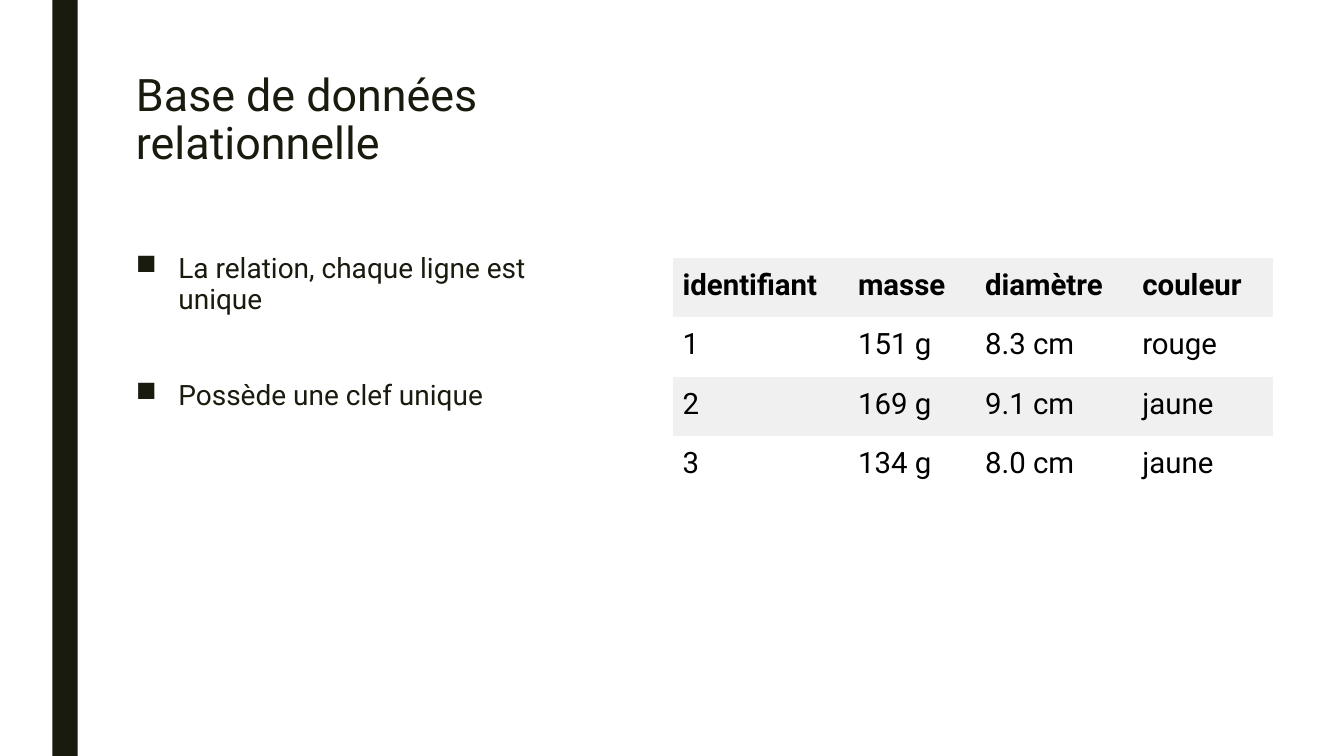
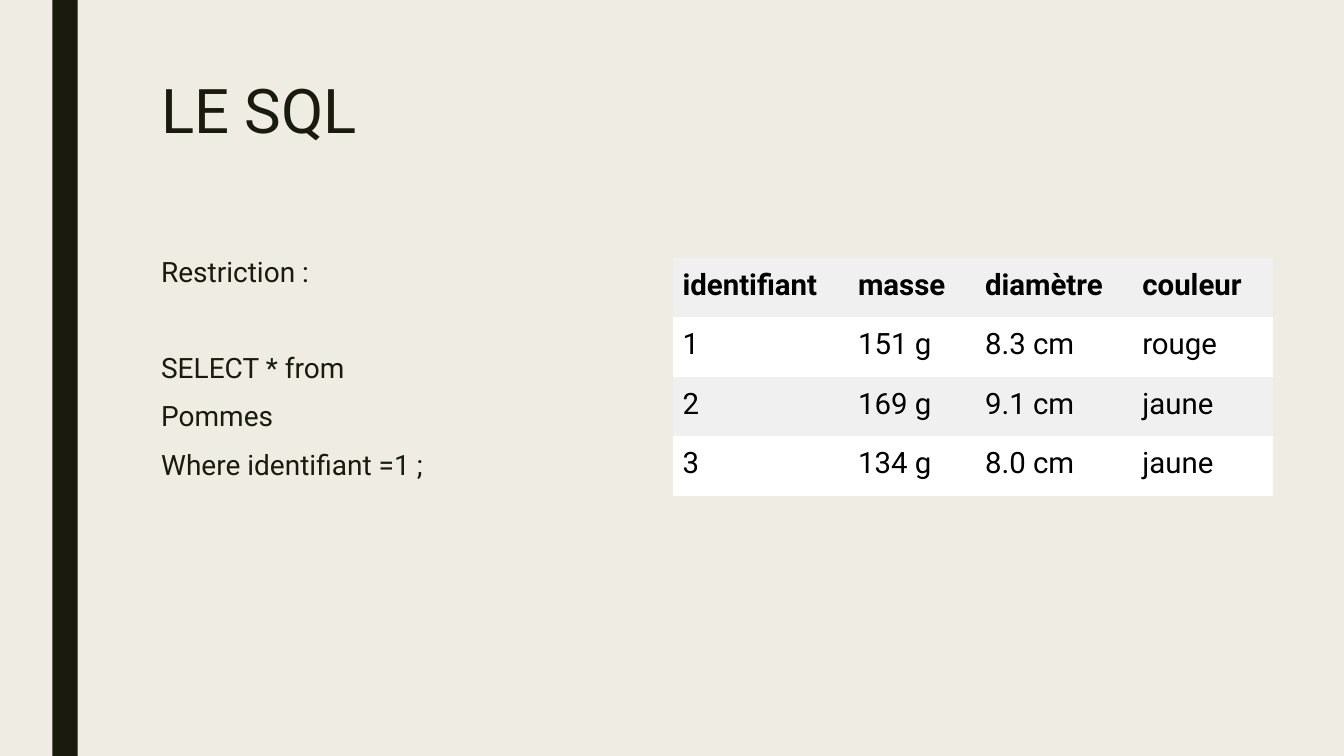
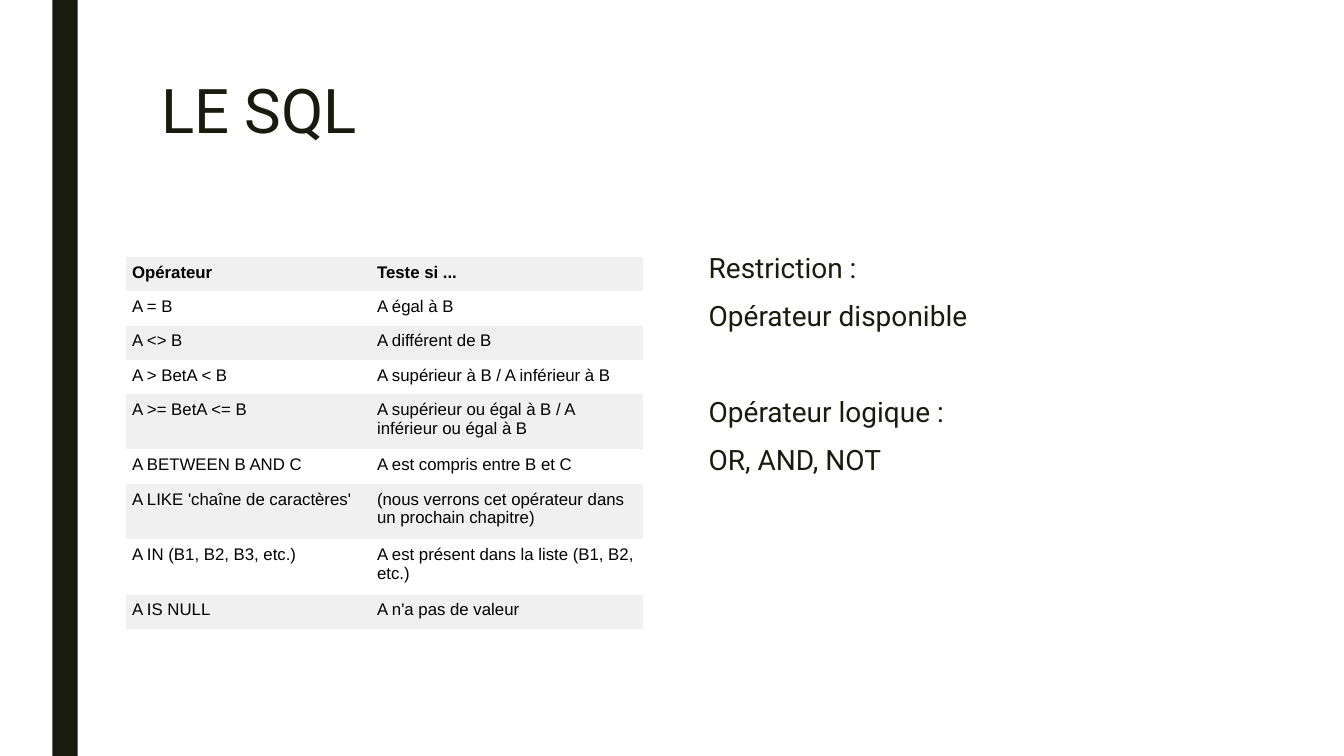
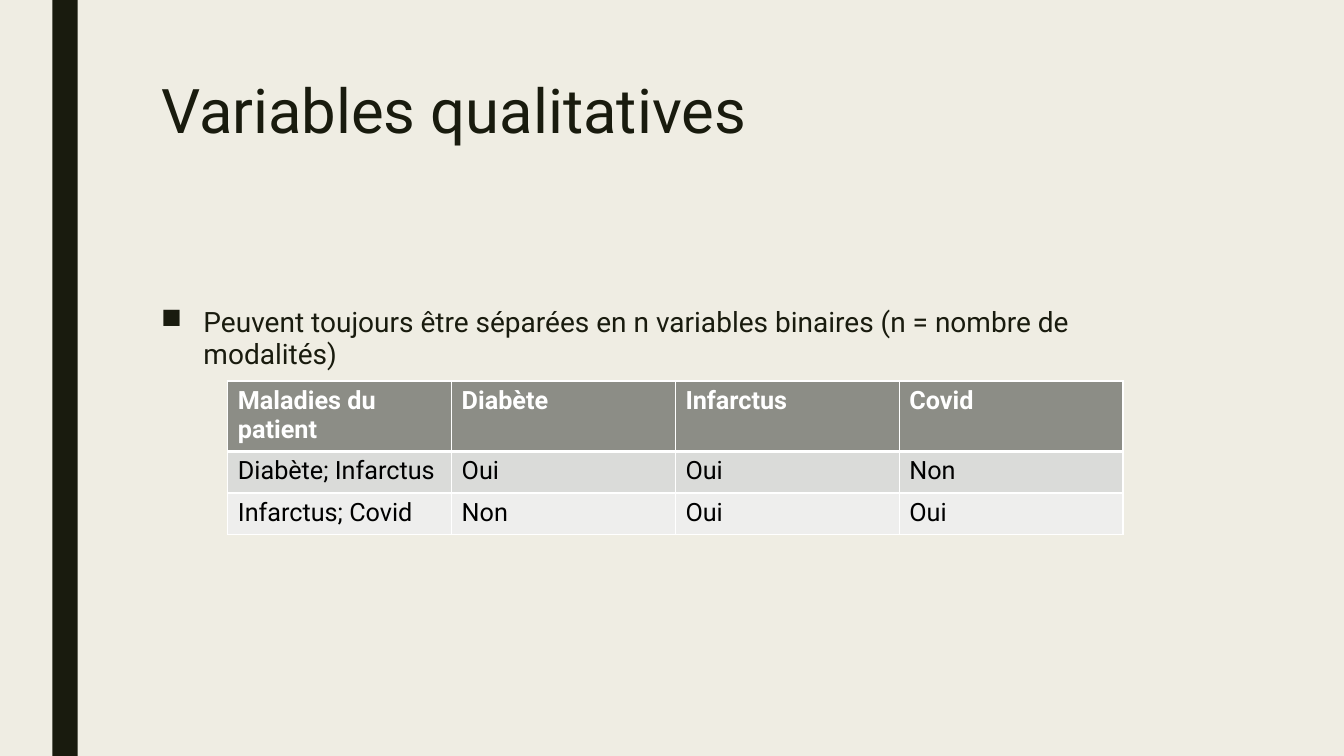
from dataclasses import dataclass
from typing import Optional

from lxml import etree
from pptx import Presentation
from pptx.dml.color import RGBColor
from pptx.enum import shapes, text
from pptx.oxml.ns import qn
from pptx.util import Inches, Pt


@dataclass(frozen=True)
class Theme:
    ink: str = "191B0E"
    black: str = "000000"
    white: str = "FFFFFF"
    cream: str = "EFEDE3"
    stripe: str = "F0F0F0"
    header: str = "8C8D86"
    row_dark: str = "DADBD9"
    row_light: str = "EEEEED"
    font: str = "Roboto"
    operator_font: str = "Arial"
    title: int = 44
    title_small: int = 32
    body: int = 20
    apples: int = 21
    operators: int = 12
    patients: int = 18
    title_spacing: float = 0.89
    body_spacing: float = 0.94
    before: int = 10
    after: int = 2
    section_gap: int = 44
    indent: float = 0.42
    no_style: str = "{2D5ABB26-0587-4C30-8999-92F81FD0307C}"


THEME = Theme()


@dataclass(frozen=True)
class Box:
    left: float
    top: float
    width: float
    height: float

    def emu(self) -> tuple:
        return tuple(Inches(v) for v in (self.left, self.top, self.width, self.height))


@dataclass(frozen=True)
class Para:
    words: str
    bullet: bool = False
    new_section: bool = False


@dataclass(frozen=True)
class TableLook:
    size: int
    fills: tuple
    header_fill: str = THEME.stripe
    header_color: str = THEME.black
    font: str = THEME.font
    inset_x: float = 0.1
    inset_y: float = 0.1
    grid: Optional[str] = None


TITLE_BOX = Box(1.5, 0.75, 10.5, 1.62)
APPLES_BOX = Box(6.67, 2.56, 5.97, 2.36)
APPLES_LOOK = TableLook(THEME.apples, (THEME.white, THEME.stripe))
OPERATORS_LOOK = TableLook(THEME.operators, (None, THEME.stripe),
                           font=THEME.operator_font, inset_x=0.06, inset_y=0.06)
PATIENTS_LOOK = TableLook(THEME.patients, (THEME.row_dark, THEME.row_light),
                          header_fill=THEME.header, header_color=THEME.white,
                          inset_y=0.05, grid=THEME.white)

APPLES = [
    ("identifiant", "masse", "diamètre", "couleur"),
    ("1", "151 g", "8.3 cm", "rouge"),
    ("2", "169 g", "9.1 cm", "jaune"),
    ("3", "134 g", "8.0 cm", "jaune"),
]
OPERATORS = [
    ("Opérateur", "Teste si ..."),
    ("A = B", "A égal à B"),
    ("A <> B", "A différent de B"),
    ("A > BetA < B", "A supérieur à B / A inférieur à B"),
    ("A >= BetA <= B", "A supérieur ou égal à B / A inférieur ou égal à B"),
    ("A BETWEEN B AND C", "A est compris entre B et C"),
    ("A LIKE 'chaîne de caractères'", "(nous verrons cet opérateur dans un prochain chapitre)"),
    ("A IN (B1, B2, B3, etc.)", "A est présent dans la liste (B1, B2, etc.)"),
    ("A IS NULL", "A n'a pas de valeur"),
]
PATIENTS = [
    ("Maladies du patient", "Diabète", "Infarctus", "Covid"),
    ("Diabète; Infarctus", "Oui", "Oui", "Non"),
    ("Infarctus; Covid", "Non", "Oui", "Oui"),
]


def write(p, words: str, *, size: float, color: str = THEME.ink,
          font: str = THEME.font, bold: bool = False) -> None:
    r = p.add_run()
    r.text = words
    r.font.size = Pt(size)
    r.font.name = font
    r.font.bold = bold
    r.font.color.rgb = RGBColor.from_string(color)


def add_bullet(p) -> None:
    ppr = p._p.get_or_add_pPr()
    ppr.set("marL", str(Inches(THEME.indent)))
    ppr.set("indent", str(-Inches(THEME.indent)))
    etree.SubElement(ppr, qn("a:buChar"), char="■")


def add_frame(slide, box: Box):
    tf = slide.shapes.add_textbox(*box.emu()).text_frame
    tf.word_wrap = True
    tf.vertical_anchor = text.MSO_ANCHOR.TOP
    return tf


def add_title(slide, words: str, box: Box = TITLE_BOX, size: int = THEME.title) -> None:
    p = add_frame(slide, box).paragraphs[0]
    p.line_spacing = THEME.title_spacing
    write(p, words, size=size)


def add_body(slide, box: Box, paras: list[Para]) -> None:
    tf = add_frame(slide, box)
    for i, para in enumerate(paras):
        p = tf.add_paragraph() if i else tf.paragraphs[0]
        p.line_spacing = THEME.body_spacing
        p.space_before = Pt(THEME.section_gap if para.new_section else THEME.before)
        p.space_after = Pt(THEME.after)
        if para.bullet:
            add_bullet(p)
        write(p, para.words, size=THEME.body)


def add_borders(cell, color: str, top: int, bottom: int) -> None:
    tcpr = cell._tc.get_or_add_tcPr()
    for side, width in (("L", 1), ("R", 1), ("T", top), ("B", bottom)):
        ln = etree.SubElement(tcpr, qn(f"a:ln{side}"), w=str(Pt(width)))
        fill = etree.SubElement(ln, qn("a:solidFill"))
        etree.SubElement(fill, qn("a:srgbClr"), val=color)


def add_table(slide, box: Box, rows: list[tuple], widths: list[float],
              heights: list[float], look: TableLook) -> None:
    table = slide.shapes.add_table(len(rows), len(widths), *box.emu()).table
    table.first_row = table.horz_banding = False
    table._tbl.tblPr.find(qn("a:tableStyleId")).text = THEME.no_style
    for column, width in zip(table.columns, widths):
        column.width = Inches(width)
    for row, height in zip(table.rows, heights):
        row.height = Inches(height)
    for i, values in enumerate(rows):
        header = i == 0
        fill = look.header_fill if header else look.fills[(i - 1) % len(look.fills)]
        for j, words in enumerate(values):
            cell = table.cell(i, j)
            cell.margin_left = cell.margin_right = Inches(look.inset_x)
            cell.margin_top = cell.margin_bottom = Inches(look.inset_y)
            if look.grid:
                add_borders(cell, look.grid, top=3 if i == 1 else 1, bottom=3 if header else 1)
            if fill:
                cell.fill.solid()
                cell.fill.fore_color.rgb = RGBColor.from_string(fill)
            else:
                cell.fill.background()
            write(cell.text_frame.paragraphs[0], words, size=look.size, font=look.font,
                  color=look.header_color if header else THEME.black, bold=header)


def add_apples(slide) -> None:
    add_table(slide, APPLES_BOX, APPLES, [1.74, 1.26, 1.56, 1.4],
              [0.59] * len(APPLES), APPLES_LOOK)


def new_slide(prs, background: str):
    slide = prs.slides.add_slide(prs.slide_layouts[6])
    slide.background.fill.solid()
    slide.background.fill.fore_color.rgb = RGBColor.from_string(background)
    sp = slide.shapes.add_shape(shapes.MSO_SHAPE.RECTANGLE, *Box(0.52, 0, 0.25, 7.5).emu())
    sp.shadow.inherit = False
    sp.fill.solid()
    sp.fill.fore_color.rgb = RGBColor.from_string(THEME.ink)
    sp.line.fill.background()
    return slide


def relational_slide(prs) -> None:
    slide = new_slide(prs, THEME.white)
    add_title(slide, "Base de données relationnelle", Box(1.25, 0.68, 4.88, 1.62),
              THEME.title_small)
    add_body(slide, Box(1.25, 2.46, 4.88, 4.34), [
        Para("La relation, chaque ligne est unique", bullet=True),
        Para("Possède une clef unique", bullet=True, new_section=True),
    ])
    add_apples(slide)


def restriction_slide(prs) -> None:
    slide = new_slide(prs, THEME.cream)
    add_title(slide, "LE SQL")
    add_body(slide, Box(1.5, 2.5, 10.5, 3.92), [
        Para("Restriction :"),
        Para("SELECT * from", new_section=True),
        Para("Pommes"),
        Para("Where identifiant =1 ;"),
    ])
    add_apples(slide)


def operators_slide(prs) -> None:
    slide = new_slide(prs, THEME.white)
    add_title(slide, "LE SQL")
    add_body(slide, Box(6.93, 2.46, 5.15, 3.87), [
        Para("Restriction :"),
        Para("Opérateur disponible"),
        Para("Opérateur logique :", new_section=True),
        Para("OR, AND, NOT"),
    ])
    two_lines = (4, 6, 7)
    heights = [0.55 if i in two_lines else 0.34 for i in range(len(OPERATORS))]
    add_table(slide, Box(1.25, 2.55, 5.13, 3.7), OPERATORS, [2.43, 2.7],
              heights, OPERATORS_LOOK)


def qualitative_slide(prs) -> None:
    slide = new_slide(prs, THEME.cream)
    add_title(slide, "Variables qualitatives")
    add_body(slide, Box(1.5, 3, 10.5, 3.42), [
        Para("Peuvent toujours être séparées en n variables binaires (n = nombre de modalités)",
             bullet=True),
    ])
    add_table(slide, Box(2.26, 3.78, 8.88, 1.51), PATIENTS, [2.22] * 4,
              [0.69, 0.41, 0.41], PATIENTS_LOOK)


def main() -> None:
    prs = Presentation()
    prs.slide_width = Inches(13.33)
    prs.slide_height = Inches(7.5)
    for build in (relational_slide, restriction_slide, operators_slide, qualitative_slide):
        build(prs)
    prs.save("out.pptx")


main()
